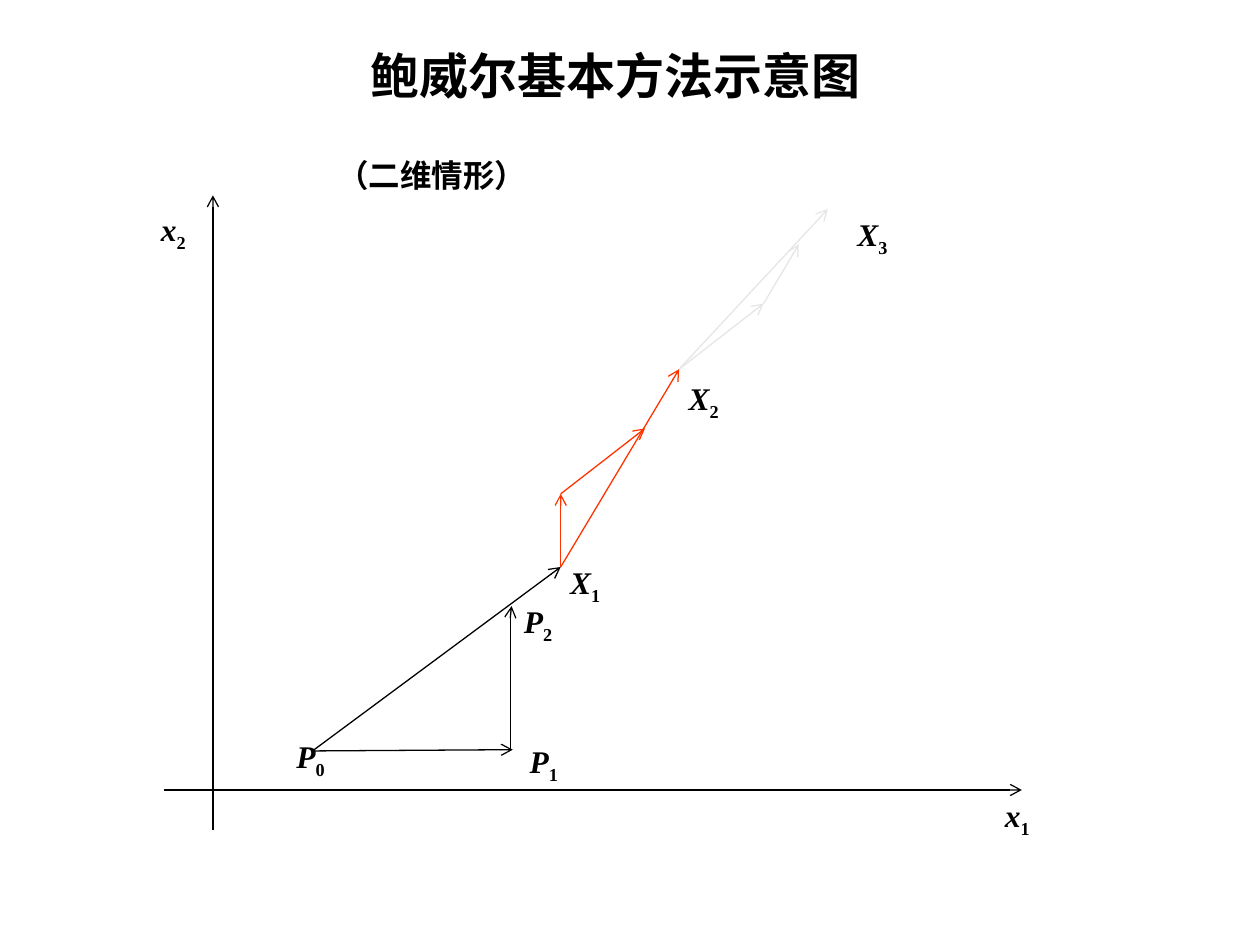
from pptx import Presentation
from pptx import util as u
from pptx.dml.color import RGBColor
from pptx.enum import shapes, text
from pptx.oxml import xmlchemy
from lxml import etree
from pptx.oxml.ns import qn

BLACK = RGBColor(0x00, 0x00, 0x00)
RED = RGBColor(0xFF, 0x33, 0x00)
GREY = RGBColor(0xE7, 0xE6, 0xE6)


class Diagram:
    letter_style = {"name": "Times New Roman", "bold": True}
    frame_style = {"word_wrap": True, "auto_size": text.MSO_AUTO_SIZE.SHAPE_TO_FIT_TEXT}
    hanging = {"marL": u.Inches(0.38), "indent": u.Inches(-0.38)}

    def __init__(self, slide):
        self.slide = slide

    def apply(self, target, values):
        for key, value in values.items():
            setattr(target, key, value)

    def finish_arrow(self, arrow, color):
        arrow.line.color.rgb = color
        arrow.line.width = u.Pt(0.75)
        tail = etree.SubElement(arrow.line._get_or_add_ln(), qn("a:tailEnd"))
        tail.set("type", "arrow")

    def vector(self, start, end, color=BLACK):
        ends = [u.Inches(value) for value in (*start, *end)]
        arrow = self.slide.shapes.add_connector(shapes.MSO_CONNECTOR.STRAIGHT, *ends)
        self.finish_arrow(arrow, color)
        etree.SubElement(arrow._element.spPr, qn("a:effectLst"))

    def trace(self, points, color=BLACK):
        start, *rest = [(u.Inches(x), u.Inches(y)) for x, y in points]
        builder = self.slide.shapes.build_freeform(*start)
        builder.add_line_segments(rest, close=False)
        outline = builder.convert_to_shape()
        outline.fill.background()
        self.finish_arrow(outline, color)
        outline.shadow.inherit = False

    def label(self, box, wording, subscript="", size=18, wrap=True):
        frame = self.slide.shapes.add_textbox(*map(u.Inches, box)).text_frame
        self.apply(frame, {**self.frame_style, "word_wrap": wrap})
        paragraph = frame.paragraphs[0]
        paragraph.alignment = text.PP_ALIGN.CENTER
        for key, value in self.hanging.items():
            paragraph._p.get_or_add_pPr().set(key, str(value))
        for part in filter(None, (wording, subscript)):
            run = paragraph.add_run()
            run.text = part
            self.apply(run.font, {**self.letter_style, "size": u.Pt(size)})
            run.font.color.rgb = BLACK
            run.font.italic = bool(subscript) and part == wording
            if part == subscript:
                run.font._element.set("baseline", "-25000")


def main():
    deck = Presentation()
    deck.slide_width, deck.slide_height = u.Inches(10), u.Inches(7.5)
    diagram = Diagram(deck.slides.add_slide(deck.slide_layouts[6]))

    p0, x1, x2, x3 = (2.48, 5.96), (4.45, 4.5), (5.39, 2.93), (6.57, 1.66)
    second_step, second_end = (4.45, 3.92), (5.12, 3.4)
    third_step, third_end = (6.06, 2.41), (6.34, 1.94)

    diagram.vector((1.3, 6.27), (8.11, 6.27))
    diagram.vector((1.69, 6.59), (1.69, 1.55))
    diagram.trace([p0, (4.07, 5.95)])
    diagram.trace([(4.05, 5.96), (4.05, 4.83), (4.06, 4.81)])
    diagram.vector(p0, x1)
    for start, end, color in (
        (x1, second_step, RED),
        (second_step, second_end, RED),
        (x1, x2, RED),
        (x2, third_step, GREY),
        (third_step, third_end, GREY),
        (x2, x3, GREY),
    ):
        diagram.vector(start, end, color)

    for letter, index, left, top, width in (
        ("x", "1", 7.84, 6.27, 0.47),
        ("x", "2", 1.14, 1.62, 0.47),
        ("P", "0", 2.17, 5.8, 0.59),
        ("P", "1", 4.02, 5.84, 0.59),
        ("X", "1", 4.41, 4.42, 0.47),
        ("X", "2", 5.27, 2.96, 0.63),
        ("X", "3", 6.61, 1.66, 0.63),
    ):
        diagram.label((left, top, width, 0.4), letter, index)
    diagram.label((4.05, 4.73, 0.44, 0.4), "P", "2", wrap=False)
    diagram.label((2.66, 0.31, 4.45, 0.57), "鲍威尔基本方法示意图", size=28)
    diagram.label((1.77, 1.19, 3.31, 0.4), "（二维情形）")

    deck.save("out.pptx")


if __name__ == "__main__":
    main()
